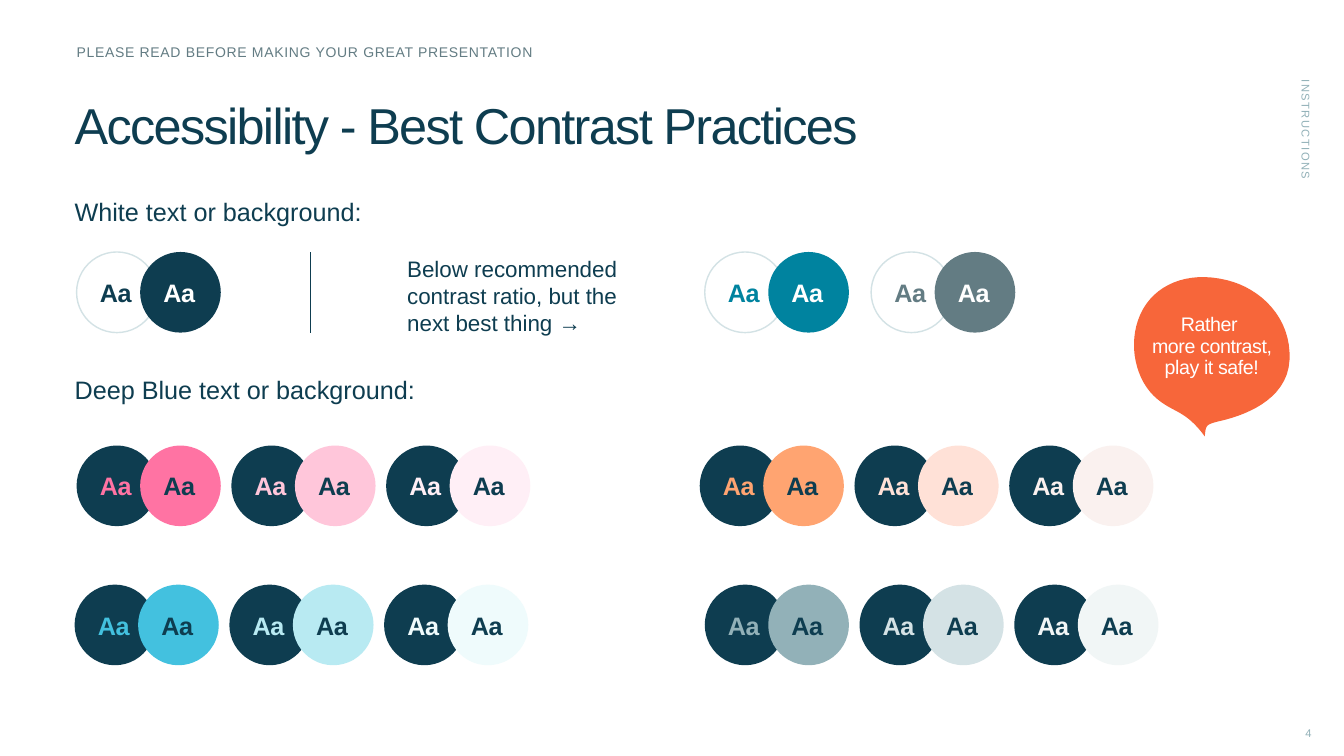
import pptx
import pptx.util
import pptx.dml.color
import pptx.enum.shapes
import pptx.enum.text
import pptx.oxml.ns
import lxml.etree

Inches = pptx.util.Inches
RGB = pptx.dml.color.RGBColor.from_string
ALIGN = pptx.enum.text.PP_ALIGN
ANCHOR = pptx.enum.text.MSO_ANCHOR

DEEP_BLUE = RGB("0E3D50")
WHITE = RGB("FFFFFF")
TEAL = RGB("00839F")
GREY = RGB("637C83")
MIST = RGB("92B1B8")
OUTLINE = RGB("D3E2E5")
ORANGE = RGB("F7663A")

FONT = "Arial"
MARGIN = 0.74
DIAMETER = 0.8
OVERLAP_STEP = 0.63
SAMPLE_INSET = (0.23, 0.25)
WHITE_TOP = 2.5
PAIR_PITCH = 1.535

SAMPLE = "Aa"
LABELS = [
    ("Accessibility - Best Contrast Practices", (MARGIN, 0.68, 9.84, 1.18),
     dict(size=36, spacing=-1.2, line=0.9, anchor=ANCHOR.MIDDLE)),
    ("PLEASE READ BEFORE MAKING YOUR GREAT PRESENTATION", (0.76, 0.37, 7.88, 0.29),
     dict(size=10, color=GREY, spacing=0.5, anchor=ANCHOR.MIDDLE)),
    ("INSTRUCTIONS", (11, 2.62, 3.91, 0.25),
     dict(size=8, color=MIST, spacing=1, anchor=ANCHOR.MIDDLE, rotation=90)),
    ("4", (12.57, 7.17, 0.44, 0.2),
     dict(size=8, color=MIST, align=ALIGN.RIGHT, anchor=ANCHOR.MIDDLE)),
    ("White text or background:", (MARGIN, 1.95, 6.76, 0.3), dict()),
    ("Deep Blue text or background:", (MARGIN, 3.71, 6.76, 0.3), dict()),
    ("Below recommended contrast ratio, but the next best thing →",
     (3.94, 2.48, 2.57, 0.91), dict(size=16, insets=(0.1, 0.05, 0.1, 0.05))),
]
WHITE_PAIRS = [(0.76, DEEP_BLUE), (6.99, TEAL), (8.64, GREY)]
DEEP_BLUE_ROWS = [
    (0.76, 4.42, ["FF73A3", "FFC6DA", "FFEFF6"]),
    (6.94, 4.42, ["FFA471", "FFE1D7", "FAF1EF"]),
    (0.74, 5.8, ["43C1DF", "B8EAF2", "EFFBFC"]),
    (6.99, 5.8, ["92B1B8", "D4E2E5", "F1F6F6"]),
]
BUBBLE_TEXT = "Rather \vmore contrast, play it safe!"
BUBBLE_START = (12.17, 2.78)
BUBBLE_CURVES = [
    ((11.77, 2.68), (11.44, 2.83), (11.31, 3.12)),
    ((11.18, 3.41), (11.26, 3.78), (11.48, 3.96)),
    ((11.65, 4.1), (11.76, 4.07), (11.95, 4.33)),
    ((11.96, 4.21), (11.96, 4.21), (12.13, 4.17)),
    ((12.29, 4.13), (12.77, 3.99), (12.79, 3.57)),
    ((12.81, 3.15), (12.5, 2.86), (12.17, 2.78)),
]
CURVE_STEPS = 16


def write(shape, text, size=18, color=DEEP_BLUE, spacing=0, bold=False, line=None,
          align=ALIGN.LEFT, anchor=ANCHOR.TOP, insets=(0, 0, 0, 0), rotation=0):
    shape.rotation = rotation
    frame = shape.text_frame
    frame.word_wrap = True
    frame.vertical_anchor = anchor
    frame.margin_left, frame.margin_top, frame.margin_right, frame.margin_bottom = map(Inches, insets)
    paragraph = frame.paragraphs[0]
    paragraph.text = text
    paragraph.alignment = align
    paragraph.line_spacing = line
    font = paragraph.font
    font.name, font.size, font.bold = FONT, pptx.util.Pt(size), bold
    font.color.rgb = color
    if spacing:
        for run in paragraph.runs:
            run._r.get_or_add_rPr().set("spc", str(round(spacing * 100)))


def label(slide, text, box, **style):
    write(slide.shapes.add_textbox(*map(Inches, box)), text, **style)


def swatch(slide, left, top, fill, ink):
    circle = slide.shapes.add_shape(pptx.enum.shapes.MSO_SHAPE.OVAL,
                                    *map(Inches, (left, top, DIAMETER, DIAMETER)))
    circle.shadow.inherit = False
    circle.fill.solid()
    circle.fill.fore_color.rgb = fill
    if fill == WHITE:
        circle.line.color.rgb = OUTLINE
        circle.line.width = pptx.util.Pt(1)
    else:
        circle.line.fill.background()
    dx, dy = SAMPLE_INSET
    label(slide, SAMPLE, (left + dx, top + dy, 0.43, 0.3), color=ink, bold=True, spacing=-0.3)


def pair(slide, left, top, base, accent):
    swatch(slide, left, top, base, accent)
    swatch(slide, left + OVERLAP_STEP, top, accent, base)


def divider(slide):
    rule = slide.shapes.add_connector(pptx.enum.shapes.MSO_CONNECTOR.STRAIGHT,
                                      *map(Inches, (3.08, WHITE_TOP, 3.08, WHITE_TOP + DIAMETER)))
    rule.line.color.rgb = DEEP_BLUE
    rule.line.width = pptx.util.Pt(1)
    lxml.etree.SubElement(rule._element.spPr, pptx.oxml.ns.qn("a:effectLst"))


def bubble_outline():
    start = BUBBLE_START
    for bend_out, bend_in, end in BUBBLE_CURVES:
        for step in range(1, CURVE_STEPS + 1):
            t = step / CURVE_STEPS
            weights = ((1 - t) ** 3, 3 * t * (1 - t) ** 2, 3 * t ** 2 * (1 - t), t ** 3)
            yield tuple(Inches(sum(w * v for w, v in zip(weights, axis)))
                        for axis in zip(start, bend_out, bend_in, end))
        start = end


def bubble(slide):
    builder = slide.shapes.build_freeform(*map(Inches, BUBBLE_START))
    builder.add_line_segments(list(bubble_outline()), close=True)
    shape = builder.convert_to_shape()
    shape.shadow.inherit = False
    shape.fill.solid()
    shape.fill.fore_color.rgb = ORANGE
    shape.line.fill.background()
    write(shape, BUBBLE_TEXT, size=14, color=WHITE, spacing=-0.3, line=0.9,
          align=ALIGN.CENTER, anchor=ANCHOR.MIDDLE, insets=(0.04, 0, 0.04, 0.2))


def main():
    deck = pptx.Presentation()
    deck.slide_width, deck.slide_height = Inches(13.33), Inches(7.5)
    slide = deck.slides.add_slide(deck.slide_layouts[6])
    for text, box, style in LABELS:
        label(slide, text, box, **style)
    for left, accent in WHITE_PAIRS:
        pair(slide, left, WHITE_TOP, WHITE, accent)
    divider(slide)
    for left, top, accents in DEEP_BLUE_ROWS:
        for column, accent in enumerate(accents):
            pair(slide, left + column * PAIR_PITCH, top, DEEP_BLUE, RGB(accent))
    bubble(slide)
    deck.save("out.pptx")


if __name__ == "__main__":
    main()
